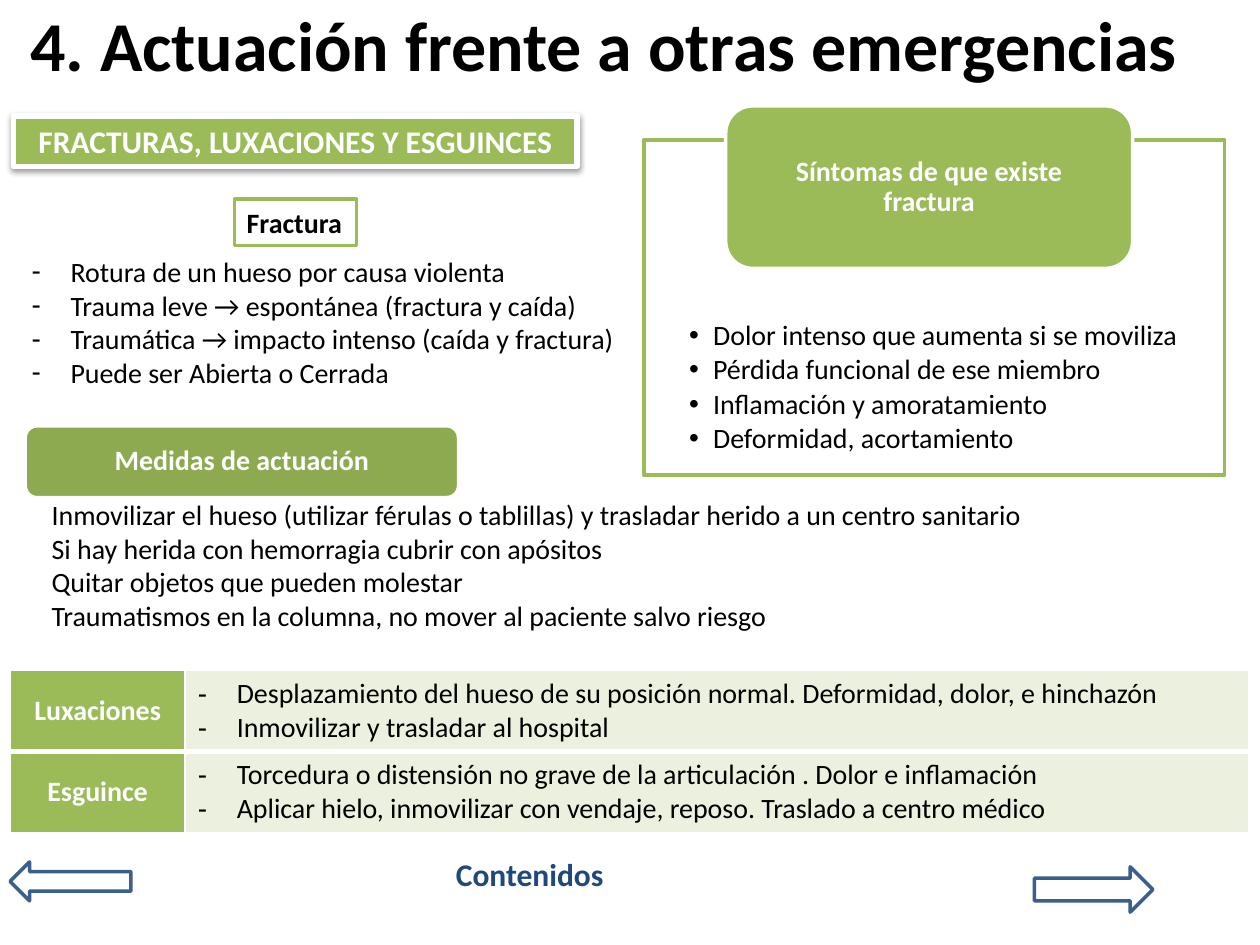
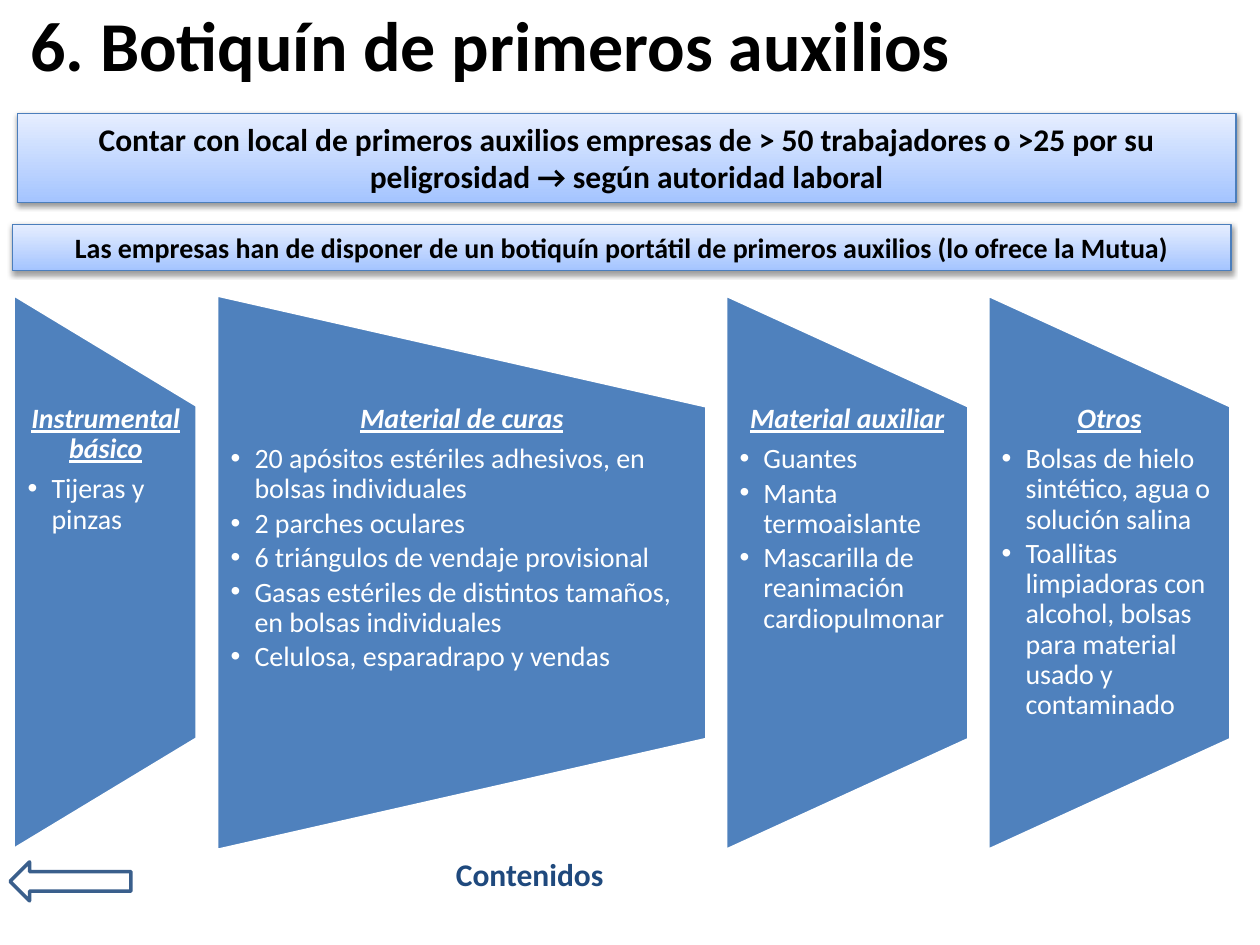
from dataclasses import dataclass
from typing import NamedTuple, Optional

from lxml.etree import SubElement
from pptx import Presentation
from pptx.dml.color import RGBColor
from pptx.enum.shapes import MSO_SHAPE as Shape
from pptx.enum.text import MSO_ANCHOR as Anchor, MSO_AUTO_SIZE as AutoSize, PP_ALIGN as Align
from pptx.oxml.ns import qn
from pptx.util import Emu, Pt

PX = 9144
FONT = "Calibri"
COLORS = {
    "black": "000000",
    "white": "FFFFFF",
    "green": "9BBB59",
    "moss": "8DAA51",
    "pale": "EBF1DE",
    "blue": "4F81BD",
    "navy": "1F497D",
    "arrow": "3A5F8C",
    "edge": "4B7EBC",
    "sky": "A4C4FF",
    "mist": "E6EEFF",
}


class Box(NamedTuple):
    x: int
    y: int
    w: int
    h: int


@dataclass
class Style:
    fill: Optional[str] = None
    line: str = "white"
    width: float = 2
    gradient: bool = False
    shadow: bool = False


@dataclass
class Column:
    title: str
    width: int
    items: list[str]


class Injury(NamedTuple):
    name: str
    notes: list[str]


BANNER = Style("green", width=3, shadow=True)
NOTICE = Style(line="edge", width=0.75, gradient=True, shadow=True)
FRAME = Style("white", line="green")
ARROW = Style(line="arrow")
INSET = (10, 5, 10, 5)

FRACTURE = [
    "Rotura de un hueso por causa violenta",
    "Trauma leve → espontánea (fractura y caída)",
    "Traumática → impacto intenso (caída y fractura)",
    "Puede ser Abierta o Cerrada",
]
SYMPTOMS = [
    "Dolor intenso que aumenta si se moviliza",
    "Pérdida funcional de ese miembro",
    "Inflamación y amoratamiento",
    "Deformidad, acortamiento",
]
MEASURES = [
    "Inmovilizar el hueso (utilizar férulas o tablillas) y trasladar herido a un centro sanitario",
    "Si hay herida con hemorragia cubrir con apósitos",
    "Quitar objetos que pueden molestar",
    "Traumatismos en la columna, no mover al paciente salvo riesgo",
]
INJURIES = [
    Injury("Luxaciones", [
        "Desplazamiento del hueso de su posición normal. Deformidad, dolor, e hinchazón",
        "Inmovilizar y trasladar al hospital",
    ]),
    Injury("Esguince", [
        "Torcedura o distensión no grave de la articulación . Dolor e inflamación",
        "Aplicar hielo, inmovilizar con vendaje, reposo. Traslado a centro médico",
    ]),
]
COLUMNS = [
    Column("Instrumental básico", 146, ["Tijeras y pinzas"]),
    Column("Material de curas", 389, [
        "20 apósitos estériles adhesivos, en bolsas individuales",
        "2 parches oculares",
        "6 triángulos de vendaje provisional",
        "Gasas estériles de distintos tamaños, en bolsas individuales",
        "Celulosa, esparadrapo y vendas",
    ]),
    Column("Material auxiliar", 193, [
        "Guantes", "Manta termoaislante", "Mascarilla de reanimación cardiopulmonar",
    ]),
    Column("Otros", 193, [
        "Bolsas de hielo sintético, agua o solución salina",
        "Toallitas limpiadoras con alcohol, bolsas para material usado y contaminado",
    ]),
]


def px(n: int) -> Emu:
    return Emu(n * PX)


def rgb(name: str) -> RGBColor:
    return RGBColor.from_string(COLORS[name])


def write(tf, text: str, *, size: float = 16, color: str = "black", bold: bool = False,
          italic: bool = False, underline: bool = False, align=Align.LEFT,
          bullet: str = "", indent: int = 0, spacing: float = 1, after: float = 0) -> None:
    p = tf.paragraphs[0] if not tf.text else tf.add_paragraph()
    p.alignment = align
    p.line_spacing = spacing
    p.space_before = Pt(0)
    p.space_after = Pt(after)
    if bullet:
        pr = p._p.get_or_add_pPr()
        pr.set("marL", str(px(indent)))
        pr.set("indent", str(-px(indent)))
        SubElement(pr, qn("a:buFont")).set("typeface", "Arial")
        SubElement(pr, qn("a:buChar")).set("char", bullet)
    r = p.add_run()
    r.text = text
    f = r.font
    f.name, f.size, f.bold, f.italic, f.underline = FONT, Pt(size), bold, italic, underline
    f.color.rgb = rgb(color)


def write_list(tf, items: list[str], **fmt) -> None:
    for item in items:
        write(tf, item, **fmt)


def dots(tf, items: list[str], color: str) -> None:
    write_list(tf, items, color=color, bullet="•", indent=19, spacing=0.9, after=2.4)


def dashes(tf, items: list[str]) -> None:
    write_list(tf, items, bullet="-", indent=31)


def set_frame(sp, inset=INSET, anchor=Anchor.TOP):
    tf = sp.text_frame
    tf.word_wrap = True
    tf.auto_size = AutoSize.NONE
    tf.vertical_anchor = anchor
    tf.margin_left, tf.margin_top, tf.margin_right, tf.margin_bottom = map(px, inset)
    return tf


def move(sp, box: Box) -> None:
    sp.left, sp.top, sp.width, sp.height = map(px, box)


def text_box(s, box: Box, inset=INSET, anchor=Anchor.TOP):
    return set_frame(s.shapes.add_textbox(*map(px, box)), inset, anchor)


def add_shape(s, kind, box: Box, style: Style):
    sp = s.shapes.add_shape(kind, *map(px, box))
    sp.shadow.inherit = False
    if style.gradient:
        sp.fill.gradient()
        sp.fill.gradient_angle = 90
        for stop, name in zip(sp.fill.gradient_stops, ("sky", "mist")):
            stop.color.rgb = rgb(name)
    elif style.fill:
        sp.fill.solid()
        sp.fill.fore_color.rgb = rgb(style.fill)
    else:
        sp.fill.background()
    sp.line.color.rgb = rgb(style.line)
    sp.line.width = Pt(style.width)
    if style.shadow:
        effects = sp._element.spPr.find(qn("a:effectLst"))
        outer = SubElement(effects, qn("a:outerShdw"), blurRad="40000", dist="20000",
                           dir="5400000", rotWithShape="0")
        shade = SubElement(outer, qn("a:srgbClr"), val=COLORS["black"])
        SubElement(shade, qn("a:alpha"), val="38000")
    return sp


def label(s, kind, box: Box, style: Style, text: str, *, inset=INSET,
          anchor=Anchor.TOP, align=Align.CENTER, **fmt) -> None:
    tf = set_frame(add_shape(s, kind, box, style), inset, anchor)
    write(tf, text, bold=True, align=align, **fmt)


def start_slide(prs, layout: int, title: str):
    s = prs.slides.add_slide(prs.slide_layouts[layout])
    move(s.shapes.title, Box(14, 3, 942, 63))
    write(set_frame(s.shapes.title, anchor=Anchor.MIDDLE), title, size=40, bold=True)
    write(text_box(s, Box(352, 674, 144, 40)), "Contenidos", size=18, color="navy", bold=True)
    add_shape(s, Shape.LEFT_ARROW, Box(8, 684, 96, 31), ARROW)
    return s


def set_borders(cell, bottom: float) -> None:
    pr = cell._tc.get_or_add_tcPr()
    for side, width in (("L", 1), ("R", 1), ("T", 1), ("B", bottom)):
        ln = SubElement(pr, qn(f"a:ln{side}"), w=str(Pt(width)))
        SubElement(SubElement(ln, qn("a:solidFill")), qn("a:srgbClr"), val=COLORS["white"])


def injury_table(s, box: Box, widths: tuple[int, int]) -> None:
    table = s.shapes.add_table(len(INJURIES), 2, *map(px, box)).table
    table.first_row = table.horz_banding = False
    for col, width in zip(table.columns, widths):
        col.width = px(width)
    for i, injury in enumerate(INJURIES):
        name, notes = table.rows[i].cells
        for cell, fill in ((name, "green"), (notes, "pale")):
            set_borders(cell, 3 if i == 0 else 1)
            cell.fill.solid()
            cell.fill.fore_color.rgb = rgb(fill)
        name.vertical_anchor = Anchor.MIDDLE
        write(name.text_frame, injury.name, color="white", bold=True, align=Align.CENTER)
        dashes(notes.text_frame, injury.notes)


def emergencies(prs) -> None:
    s = start_slide(prs, 1, "4. Actuación frente a otras emergencias")
    add_shape(s, Shape.RIGHT_ARROW, Box(821, 688, 94, 36), ARROW)
    label(s, Shape.RECTANGLE, Box(11, 92, 447, 40), BANNER,
          "FRACTURAS, LUXACIONES Y ESGUINCES", size=18, color="white")
    body = s.placeholders[1]
    move(body, Box(15, 197, 496, 118))
    dashes(set_frame(body), FRACTURE)
    label(s, Shape.RECTANGLE, Box(186, 158, 97, 37), FRAME, "Fractura",
          inset=(10, 5, 0, 5), align=Align.LEFT)

    symptoms = Box(511, 111, 461, 266)
    add_shape(s, Shape.RECTANGLE, symptoms, FRAME)
    dots(text_box(s, symptoms, (36, 144, 36, 12)), SYMPTOMS, "black")
    label(s, Shape.ROUNDED_RECTANGLE, Box(576, 84, 323, 129), Style("green"),
          "Síntomas de que existe fractura", inset=(18, 6, 18, 6),
          anchor=Anchor.MIDDLE, color="white", spacing=0.9)

    label(s, Shape.ROUNDED_RECTANGLE, Box(20, 338, 344, 57), Style("moss"),
          "Medidas de actuación", anchor=Anchor.MIDDLE, color="white", spacing=0.9)
    write_list(text_box(s, Box(5, 393, 978, 118), (36, 2, 12, 2)), MEASURES)
    injury_table(s, Box(8, 532, 983, 128), (139, 844))


def first_aid_kit(prs) -> None:
    s = start_slide(prs, 5, "6. Botiquín de primeros auxilios")
    label(s, Shape.RECTANGLE, Box(14, 90, 967, 71), NOTICE,
          "Contar con local de primeros auxilios empresas de > 50 trabajadores o >25 por su "
          "peligrosidad → según autoridad laboral", size=18)
    label(s, Shape.RECTANGLE, Box(10, 178, 967, 37), NOTICE,
          "Las empresas han de disponer de un botiquín portátil de primeros auxilios "
          "(lo ofrece la Mutua)")
    x, gap, middle, length = 11, 15, 454, 441
    for col in COLUMNS:
        panel = Box(x + (col.width - length) // 2, middle - col.width // 2, length, col.width)
        add_shape(s, Shape.FLOWCHART_MANUAL_OPERATION, panel, Style("blue")).rotation = 270
        tf = text_box(s, Box(x, 321, col.width, 265), (11, 0, 11, 0))
        write(tf, col.title, color="white", bold=True, italic=True, underline=True,
              align=Align.CENTER, spacing=0.9, after=5.6)
        dots(tf, col.items, "white")
        x += col.width + gap


def main() -> None:
    prs = Presentation()
    prs.slide_width, prs.slide_height = px(1000), px(750)
    emergencies(prs)
    first_aid_kit(prs)
    prs.save("out.pptx")


if __name__ == "__main__":
    main()
